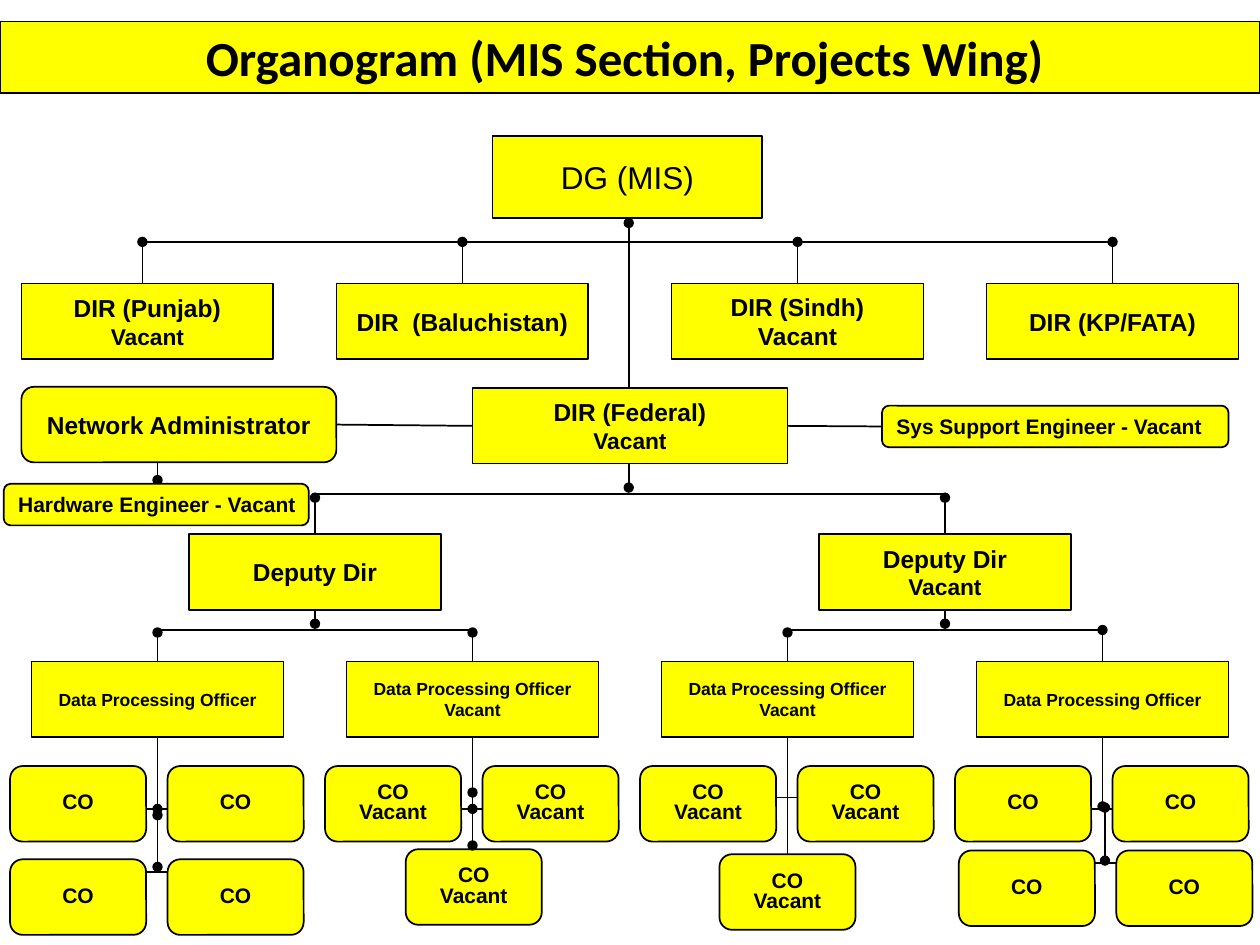
from lxml import etree
from pptx import Presentation
from pptx.dml.color import RGBColor
from pptx.enum.shapes import MSO_CONNECTOR, MSO_SHAPE
from pptx.enum.text import MSO_ANCHOR, PP_ALIGN
from pptx.oxml.ns import qn
from pptx.util import Inches, Pt

YELLOW = RGBColor(0xFF, 0xFF, 0x00)
BLACK = RGBColor(0x00, 0x00, 0x00)
RECTANGLE = MSO_SHAPE.RECTANGLE
ROUNDED = MSO_SHAPE.ROUNDED_RECTANGLE
STRAIGHT = MSO_CONNECTOR.STRAIGHT
TOP, MIDDLE = MSO_ANCHOR.TOP, MSO_ANCHOR.MIDDLE
LEFT, CENTER = PP_ALIGN.LEFT, PP_ALIGN.CENTER
LEFT_SIDE, RIGHT_SIDE = 1, 3

BOX_HEIGHT = 0.6
DIRECTORS = [
    (0.17, ["DIR (Punjab)", "Vacant"], 13),
    (2.67, ["DIR  (Baluchistan)"], 14),
    (5.33, ["DIR (Sindh)", "Vacant"], 14),
    (7.83, ["DIR (KP/FATA)"], 14),
]
DIRECTOR_STEMS = [1.13, 3.67, 6.33, 8.83]
VACANT_OFFICERS = {1, 2}
LOWER_COS = [(0.08, 6.82), (1.33, 6.82), (3.22, 6.74), (5.71, 6.78), (7.61, 6.75), (8.86, 6.75)]
VACANT_LOWER_COS = {2, 3}
OFFICER_STEMS = [(5.02, 6.42), (5.02, 6.42), (5.02, 6.92), (5, 6.4)]
CO_LINKS = [(1, 6.42), (3.42, 6.42), (6, 6.33), (8.42, 6.42), (1, 6.92), (8.53, 6.85)]
CO_STEMS = [(1.25, 6.47, 6.88), (3.75, 6.29, 6.71), (8.77, 6.41, 6.83)]


def add_line(slide, x1, y1, x2, y2, dots=False):
    """Add a thin black line, with round ends when dots is set."""
    line = slide.shapes.add_connector(STRAIGHT, Inches(x1), Inches(y1), Inches(x2), Inches(y2))
    line.line.color.rgb = BLACK
    line.line.width = Pt(1)
    if dots:
        outline = line.line._get_or_add_ln()
        for end in ("a:headEnd", "a:tailEnd"):
            etree.SubElement(outline, qn(end), type="oval")
    etree.SubElement(line._element.spPr, qn("a:effectLst"))
    return line


def add_stem(slide, x, top, bottom):
    """Add a vertical line with round ends."""
    return add_line(slide, x, top, x, bottom, dots=True)


def add_bus(slide, x1, x2, y):
    """Add a plain horizontal line."""
    return add_line(slide, x1, y, x2, y)


def add_box(slide, left, top, width, height, lines, size=14, last_size=None, kind=RECTANGLE,
            bold=True, align=CENTER, spacing=None, font="Arial", anchor=MIDDLE, wrap=False):
    """Add a yellow box with one paragraph for each line of text."""
    box = slide.shapes.add_shape(kind, Inches(left), Inches(top), Inches(width), Inches(height))
    box.shadow.inherit = False
    box.fill.solid()
    box.fill.fore_color.rgb = YELLOW
    box.line.color.rgb = BLACK
    box.line.width = Pt(1)
    frame = box.text_frame
    frame.word_wrap = wrap
    frame.vertical_anchor = anchor
    for index, text in enumerate(lines):
        paragraph = frame.paragraphs[0] if index == 0 else frame.add_paragraph()
        paragraph.text = text
        paragraph.alignment = align
        paragraph.line_spacing = spacing
        paragraph.font.name = font
        paragraph.font.size = Pt(last_size if index and last_size else size)
        paragraph.font.bold = bold
        paragraph.font.color.rgb = BLACK
    return box


def with_vacancy(title, vacant):
    """Return the lines of a post, marked when it is vacant."""
    return [title, "Vacant"] if vacant else [title]


def add_co(slide, left, top, vacant):
    """Add a rounded box for one CO."""
    add_box(slide, left, top, 1.08, BOX_HEIGHT, with_vacancy("CO", vacant), 12,
            kind=ROUNDED, spacing=0.8)


def add_lines(slide):
    """Add the lines that run behind the boxes."""
    add_stem(slide, 4.99, 1.77, 3.87)
    add_stem(slide, 1.25, 3.39, 3.81)
    add_bus(slide, 1.11, 8.81, 1.92)
    for x in DIRECTOR_STEMS:
        add_stem(slide, x, 1.92, 2.33)
    add_bus(slide, 2.52, 7.52, 3.92)
    for x in (2.5, 7.5):
        add_stem(slide, x, 3.95, 4.95)
        add_bus(slide, x - 1.25, x + 1.25, 5)
    for column, (top, bottom) in enumerate(OFFICER_STEMS):
        add_stem(slide, 1.25 + 2.5 * column, top, bottom)
    for x, y in CO_LINKS:
        add_bus(slide, x, x + 0.6, y)


def add_directors(slide):
    """Add the director general, the directors and the support staff."""
    add_box(slide, 3.91, 1.08, 2.14, 0.65, ["DG (MIS)"], 18, bold=False)
    for left, lines, last_size in DIRECTORS:
        add_box(slide, left, 2.25, 2, BOX_HEIGHT, lines, last_size=last_size)
    administrator = add_box(slide, 0.17, 3.07, 2.5, BOX_HEIGHT, ["Network Administrator"],
                            kind=ROUNDED)
    federal = add_box(slide, 3.75, 3.08, 2.5, BOX_HEIGHT, ["DIR (Federal)", "Vacant"],
                      last_size=13)
    support = add_box(slide, 7, 3.22, 2.75, 0.33, ["Sys Support Engineer - Vacant"], 12,
                      kind=ROUNDED, align=LEFT)
    add_box(slide, 0.03, 3.84, 2.42, 0.33, ["Hardware Engineer - Vacant"], 12,
            kind=ROUNDED, align=LEFT)
    for start, end in ((administrator, federal), (federal, support)):
        link = add_bus(slide, 2.67, 7, 3.38)
        link.begin_connect(start, RIGHT_SIDE)
        link.end_connect(end, LEFT_SIDE)


def add_lower_staff(slide):
    """Add the deputy directors, the officers and the COs."""
    for left, vacant in ((1.5, False), (6.5, True)):
        add_box(slide, left, 4.24, 2, BOX_HEIGHT, with_vacancy("Deputy Dir", vacant),
                last_size=13)
    for column in range(4):
        vacant = column in VACANT_OFFICERS
        left = 0.25 + 2.5 * column
        add_box(slide, left, 5.25, 2, BOX_HEIGHT,
                with_vacancy("Data Processing Officer", vacant), 10)
        for offset in (-0.17, 1.08):
            add_co(slide, left + offset, 6.08, vacant)
    for index, (left, top) in enumerate(LOWER_COS):
        add_co(slide, left, top, index in VACANT_LOWER_COS)
    for x, top, bottom in CO_STEMS:
        add_stem(slide, x, top, bottom)


def main():
    """Build the organogram and save it."""
    presentation = Presentation()
    presentation.slide_width = Inches(10)
    presentation.slide_height = Inches(7.5)
    slide = presentation.slides.add_slide(presentation.slide_layouts[6])
    add_box(slide, 0, 0.17, 10, 0.57, ["Organogram (MIS Section, Projects Wing) "], 28,
            font="Calibri", anchor=TOP, wrap=True)
    add_lines(slide)
    add_directors(slide)
    add_lower_staff(slide)
    presentation.save("out.pptx")


if __name__ == "__main__":
    main()
